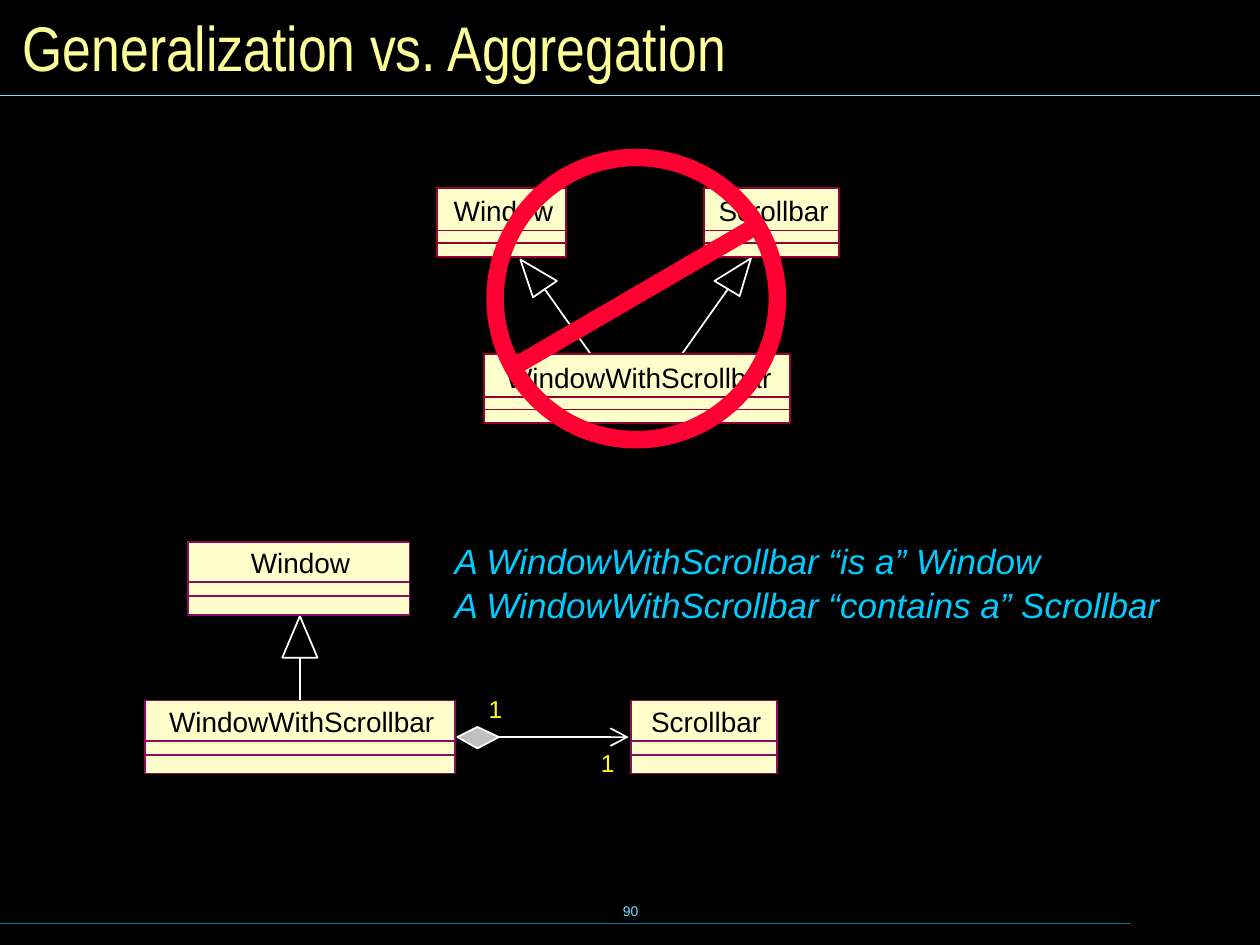
from dataclasses import dataclass
from typing import Any, Optional

from lxml import etree
from pptx import Presentation
from pptx.dml.color import RGBColor
from pptx.enum.shapes import MSO_CONNECTOR, MSO_SHAPE
from pptx.enum.text import MSO_ANCHOR, MSO_AUTO_SIZE, PP_ALIGN
from pptx.oxml.ns import qn
from pptx.util import Emu, Inches, Pt

BLACK = RGBColor(0x00, 0x00, 0x00)
WHITE = RGBColor(0xFF, 0xFF, 0xFF)
CREAM = RGBColor(0xFF, 0xFF, 0xCC)
MAROON = RGBColor(0x99, 0x00, 0x33)
PURPLE = RGBColor(0x8A, 0x0E, 0x5E)
RED = RGBColor(0xFF, 0x00, 0x33)
GREY = RGBColor(0xC0, 0xC0, 0xC0)
YELLOW = RGBColor(0xFF, 0xFF, 0x00)
PALE_YELLOW = RGBColor(0xFF, 0xFF, 0x99)
CYAN = RGBColor(0x00, 0xCC, 0xFF)
SKY = RGBColor(0x73, 0xE1, 0xFF)
TEAL = RGBColor(0x00, 0x7E, 0x9F)

LEFT, CENTER = PP_ALIGN.LEFT, PP_ALIGN.CENTER
TOP, MIDDLE = MSO_ANCHOR.TOP, MSO_ANCHOR.MIDDLE
FIXED, GROW = MSO_AUTO_SIZE.NONE, MSO_AUTO_SIZE.SHAPE_TO_FIT_TEXT
RECT, OVAL = MSO_SHAPE.RECTANGLE, MSO_SHAPE.OVAL
STRAIGHT = MSO_CONNECTOR.STRAIGHT

COLUMNS, ROWS = 100, 75
WIDTH, HEIGHT = Inches(10), Inches(7.5)

NAME_COLUMNS = {"Window": 7.9, "Scrollbar": 8.8, "WindowWithScrollbar": 21.1}

NAME_FONT = {"name": "Arial", "size": Pt(16)}
TITLE_FONT = {"name": "Arial Narrow", "size": Pt(36)}
PAGE_FONT = {"name": "Arial", "size": Pt(8)}
COUNT_FONT = {"name": "Arial", "size": Pt(14)}
NOTE_FONT = {"name": "Arial", "size": Pt(20), "italic": True}
NO_MARGINS = dict.fromkeys(
    ("margin_left", "margin_top", "margin_right", "margin_bottom"), 0)

Point = tuple[float, float]


@dataclass(frozen=True)
class ClassStyle:
    color: RGBColor
    height: float
    name_top: float
    dividers: tuple[float, float]


@dataclass(frozen=True)
class ClassBox:
    name: str
    left: float
    top: float
    width: float
    style: ClassStyle


@dataclass(frozen=True)
class Line:
    start: Point
    end: Point
    color: RGBColor = WHITE
    weight: float = 1
    arrow: bool = False


@dataclass(frozen=True)
class Outline:
    points: tuple[Point, ...]
    fill: Optional[RGBColor] = None


WRONG = ClassStyle(MAROON, 5.5, 0.5, (3.4, 4.4))
RIGHT = ClassStyle(PURPLE, 5.8, 0.3, (3.2, 4.3))

RULES = (
    Line((0, 73.3), (89.7, 73.3), TEAL, 0.75),
    Line((0, 7.6), (100, 7.6), SKY, 0.75),
)
INHERITANCE = (
    Line((57.8, 22.9), (52, 31.1)),
    Line((43.2, 22.9), (49, 31.1)),
    Line((23.8, 55.6), (23.8, 52.2)),
)
TRIANGLES = (
    Outline(((59.6, 20.5), (58.7, 23.5), (56.7, 22.3))),
    Outline(((41.3, 20.6), (42.3, 23.6), (44.2, 22.3))),
    Outline(((23.8, 48.9), (25.2, 52.2), (22.4, 52.2))),
)
CLASSES = (
    ClassBox("Window", 34.7, 14.9, 10.2, WRONG),
    ClassBox("WindowWithScrollbar", 38.4, 28.1, 24.3, WRONG),
    ClassBox("Scrollbar", 55.9, 14.9, 10.7, WRONG),
    ClassBox("Scrollbar", 50.1, 55.6, 11.6, RIGHT),
    ClassBox("Window", 14.9, 43, 17.6, RIGHT),
    ClassBox("WindowWithScrollbar", 11.5, 55.6, 24.6, RIGHT),
)
AGGREGATION = Line((39.5, 58.5), (49.9, 58.5), arrow=True)
DIAMOND = Outline(((36.3, 58.5), (37.9, 59.4), (39.6, 58.5), (37.9, 57.7)), GREY)
COUNTS = ((46.7, 58.9), (37.8, 54.6))
NOTES = ("A WindowWithScrollbar “is a” Window",
         "A WindowWithScrollbar “contains a” Scrollbar")


def col(n: float) -> Emu:
    return Emu(round(WIDTH * n / COLUMNS))


def row(n: float) -> Emu:
    return Emu(round(HEIGHT * n / ROWS))


def area(left: float, top: float, width: float, height: float) -> tuple[Emu, ...]:
    return col(left), row(top), col(width), row(height)


def apply(target: Any, values: dict[str, Any]) -> None:
    for name, value in values.items():
        setattr(target, name, value)


def paint(sp: Any, fill: Optional[RGBColor], line: RGBColor, weight: float = 1) -> None:
    sp.shadow.inherit = False
    if fill is None:
        sp.fill.background()
    else:
        sp.fill.solid()
        sp.fill.fore_color.rgb = fill
    sp.line.color.rgb = line
    sp.line.width = Pt(weight)


def write(sp: Any, lines: tuple[str, ...], font: dict[str, Any], color: RGBColor,
          align: Any = LEFT, **frame: Any) -> None:
    tf = sp.text_frame
    apply(tf, {"word_wrap": True, "auto_size": GROW, "vertical_anchor": TOP} | frame)
    for i, text in enumerate(lines):
        p = tf.add_paragraph() if i else tf.paragraphs[0]
        p.alignment = align
        if i:
            p.space_before = Pt(1.5)
        r = p.add_run()
        r.text = text
        apply(r.font, font)
        r.font.color.rgb = color


def draw_line(shapes: Any, line: Line) -> None:
    (x1, y1), (x2, y2) = line.start, line.end
    c = shapes.add_connector(STRAIGHT, col(x1), row(y1), col(x2), row(y2))
    c.line.color.rgb = line.color
    c.line.width = Pt(line.weight)
    props = c.element.spPr
    if line.arrow:
        etree.SubElement(props.find(qn("a:ln")), qn("a:tailEnd"),
                         type="arrow", w="lg", len="lg")
    etree.SubElement(props, qn("a:effectLst"))


def draw_outline(shapes: Any, outline: Outline) -> None:
    first, *rest = [(col(x), row(y)) for x, y in outline.points]
    builder = shapes.build_freeform(*first)
    builder.add_line_segments(rest, close=True)
    paint(builder.convert_to_shape(), outline.fill, WHITE)


def draw_class(shapes: Any, box: ClassBox) -> None:
    style = box.style
    sp = shapes.add_shape(RECT, *area(box.left, box.top, box.width, style.height))
    paint(sp, CREAM, style.color)
    for y in style.dividers:
        draw_line(shapes, Line((box.left, box.top + y),
                               (box.left + box.width, box.top + y), style.color))
    width = NAME_COLUMNS[box.name]
    left = box.left + (box.width - width) / 2 + 0.15
    name = shapes.add_textbox(*area(left, box.top + style.name_top, width, 2.7))
    write(name, (box.name,), NAME_FONT, BLACK, CENTER, word_wrap=False, **NO_MARGINS)


def draw_prohibition(shapes: Any) -> None:
    sign = shapes.add_group_shape().shapes
    ring = sign.add_shape(OVAL, *area(39.3, 12.5, 22.4, 22.4))
    paint(ring, None, RED, 10)
    draw_line(sign, Line((40.8, 29.1), (59.9, 18), RED, 10))


def main() -> None:
    prs = Presentation()
    prs.slide_width, prs.slide_height = WIDTH, HEIGHT
    s = prs.slides.add_slide(prs.slide_layouts.get_by_name("Title Only"))
    s.background.fill.solid()
    s.background.fill.fore_color.rgb = BLACK
    shapes = s.shapes

    title = shapes.title
    apply(title, dict(zip(("left", "top", "width", "height"), area(0.8, 0.8, 98.4, 5.8))))
    write(title, ("Generalization vs. Aggregation",), TITLE_FONT, PALE_YELLOW,
          auto_size=FIXED, vertical_anchor=MIDDLE)
    write(shapes.add_textbox(*area(34.2, 69.8, 31.7, 5)), ("90",), PAGE_FONT, SKY, CENTER,
          word_wrap=False, auto_size=FIXED, vertical_anchor=MIDDLE)

    for line in RULES + INHERITANCE:
        draw_line(shapes, line)
    for triangle in TRIANGLES:
        draw_outline(shapes, triangle)
    for box in CLASSES:
        draw_class(shapes, box)
    draw_prohibition(shapes)
    draw_line(shapes, AGGREGATION)
    draw_outline(shapes, DIAMOND)
    for left, top in COUNTS:
        write(shapes.add_textbox(*area(left, top, 3.1, 3.3)), ("1",), COUNT_FONT, YELLOW)
    write(shapes.add_textbox(*area(35.1, 42.3, 58.1, 7.7)), NOTES, NOTE_FONT, CYAN)

    prs.save("out.pptx")


if __name__ == "__main__":
    main()
